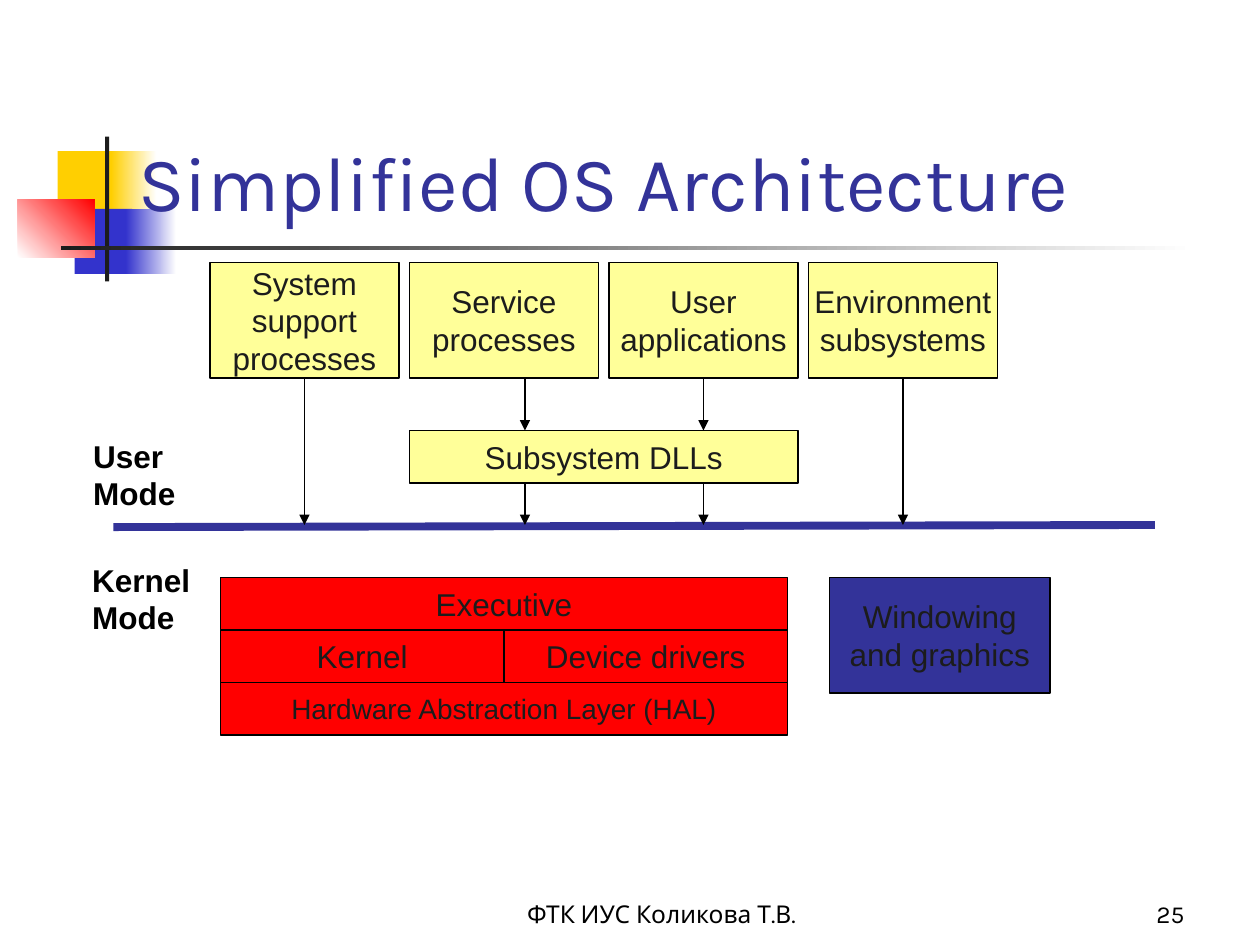
import pptx
import pptx.util
import pptx.dml.color
import pptx.enum.shapes
import pptx.enum.text
import pptx.oxml.ns
import lxml.etree

RGBColor = pptx.dml.color.RGBColor
Align = pptx.enum.text.PP_ALIGN
Anchor = pptx.enum.text.MSO_ANCHOR

WHITE = RGBColor(0xFF, 0xFF, 0xFF)
BLACK = RGBColor(0x00, 0x00, 0x00)
CHARCOAL = RGBColor(0x1C, 0x1C, 0x1C)
GOLD = RGBColor(0xFF, 0xCF, 0x01)
BLUE = RGBColor(0x33, 0x33, 0xCC)
RED = RGBColor(0xFF, 0x00, 0x00)
INDIGO = RGBColor(0x33, 0x33, 0x99)
PALE_YELLOW = RGBColor(0xFF, 0xFF, 0x99)

COLUMNS, ROWS = 120, 90
CELL = pptx.util.Inches(10) // COLUMNS


def cells(*counts):
    return [round(count * CELL) for count in counts]


def add_rectangle(slide, left, top, width, height):
    rectangle = slide.shapes.add_shape(
        pptx.enum.shapes.MSO_SHAPE.RECTANGLE, *cells(left, top, width, height))
    rectangle.shadow.inherit = False
    return rectangle


def write(frame, text, size, font_name, color, align, anchor, wrap, bold=False):
    frame.word_wrap = wrap
    frame.vertical_anchor = anchor
    frame.text = text
    for paragraph in frame.paragraphs:
        paragraph.alignment = align
        paragraph.font.size = pptx.util.Pt(size)
        paragraph.font.name = font_name
        paragraph.font.bold = bold
        paragraph.font.color.rgb = color


def add_label(slide, box, text, size, font_name, color,
              align=Align.LEFT, anchor=Anchor.TOP, wrap=True, bold=False):
    label = slide.shapes.add_textbox(*cells(*box))
    write(label.text_frame, text, size, font_name, color, align, anchor, wrap, bold)


def add_component(slide, box, text, fill, size=18):
    component = add_rectangle(slide, *box)
    component.fill.solid()
    component.fill.fore_color.rgb = fill
    component.line.color.rgb = BLACK
    component.line.width = pptx.util.Pt(0.75)
    write(component.text_frame, text, size, "Arial", CHARCOAL,
          Align.CENTER, Anchor.MIDDLE, False)
    return component


def add_line(slide, start, end, color, width):
    line = slide.shapes.add_connector(
        pptx.enum.shapes.MSO_CONNECTOR.STRAIGHT, *cells(*start, *end))
    line.line.color.rgb = color
    line.line.width = pptx.util.Pt(width)
    lxml.etree.SubElement(line._element.spPr, pptx.oxml.ns.qn("a:effectLst"))
    return line


def add_arrow(slide, column, top, bottom, source=None):
    arrow = add_line(slide, (column, top), (column, bottom), BLACK, 0.75)
    outline = arrow.line._get_or_add_ln()
    lxml.etree.SubElement(outline, pptx.oxml.ns.qn("a:tailEnd"), type="triangle")
    if source is not None:
        arrow.begin_connect(source, 2)


def draw_ornament(slide, left, top):
    parts = [
        (3.8, 1.4, 5.8, 6.2, GOLD, None, 0),
        (8.9, 1.4, 4.3, 6.2, GOLD, WHITE, 0),
        (5.4, 6.9, 5.5, 6.2, BLUE, None, 0),
        (10.3, 6.9, 4.8, 6.2, BLUE, WHITE, 0),
        (0, 6, 7.3, 5.5, WHITE, RED, 45),
        (8.3, 0, 0.4, 13.8, CHARCOAL, None, 0),
        (4.1, 10.4, 108, 0.4, CHARCOAL, WHITE, 0),
    ]
    for x, y, width, height, color, fade, angle in parts:
        part = add_rectangle(slide, left + x, top + y, width, height)
        part.line.fill.background()
        if fade is None:
            part.fill.solid()
            part.fill.fore_color.rgb = color
        else:
            part.fill.gradient()
            part.fill.gradient_angle = angle
            for stop, stop_color in zip(part.fill.gradient_stops, (color, fade)):
                stop.color.rgb = stop_color


def draw_heading(slide, left, top, width, height):
    add_label(slide, (left, top, width, height), "Simplified OS Architecture",
              44, "Karla", INDIGO, anchor=Anchor.BOTTOM)


def draw_footer(slide, left, top, width, height):
    add_label(slide, (left, top, 38, height), "ФТК ИУС Коликова Т.В.",
              14, "Karla", BLACK, Align.CENTER, Anchor.BOTTOM)
    add_label(slide, (left + width - 25, top, 25, height), "25",
              14, "Karla", BLACK, Align.RIGHT, Anchor.BOTTOM)


def draw_user_mode(slide, left, top, width, height):
    gap, process_height, dll_height = 1, 11, 5
    process_width = (width - 3 * gap) / 4
    pitch = process_width + gap
    names = ["System\vsupport\vprocesses", "Service\vprocesses",
             "User\vapplications", "Environment\vsubsystems"]
    system, service, applications, environment = [
        add_component(slide, (left + index * pitch, top, process_width, process_height),
                      name, PALE_YELLOW)
        for index, name in enumerate(names)]
    dll_top = top + 16
    add_component(slide, (left + pitch, dll_top, pitch + process_width, dll_height),
                  "Subsystem DLLs", PALE_YELLOW)

    process_bottom, bottom = top + process_height, top + height
    middle = left + process_width / 2
    add_arrow(slide, middle, process_bottom, bottom, system)
    add_arrow(slide, middle + 3 * pitch, process_bottom, bottom, environment)
    for column, source in ((left + 30, None), (middle + 2 * pitch, applications)):
        add_arrow(slide, column, process_bottom, dll_top, source)
        add_arrow(slide, column, dll_top + dll_height, bottom)


def draw_kernel_mode(slide, left, top, width, height):
    layer = height / 3
    stack_width, graphics_width = 54, 21
    half = stack_width / 2
    layers = [
        (0, 0, stack_width, "Executive", 18),
        (0, 1, half, "Kernel", 18),
        (half, 1, half, "Device drivers", 18),
        (0, 2, stack_width, "Hardware Abstraction Layer (HAL)", 16),
    ]
    for x, row, layer_width, name, size in layers:
        add_component(slide, (left + x, top + row * layer, layer_width, layer),
                      name, RED, size)
    add_component(slide, (left + width - graphics_width, top, graphics_width, 11),
                  "Windowing\vand graphics", INDIGO)


def draw_mode_boundary(slide, left, top, width, height):
    add_line(slide, (left + 3.2, top + 9.2), (left + width, top + 9), INDIGO, 4.5)
    for text, x, y, label_width in (("User\nMode", 0.1, 0, 10.3),
                                    ("Kernel\nMode", 0, height - 8.4, 11.8)):
        add_label(slide, (left + x, top + y, label_width, 8.4), text, 18, "Arial",
                  BLACK, wrap=False, bold=True)


def main():
    presentation = pptx.Presentation()
    presentation.slide_width, presentation.slide_height = cells(COLUMNS, ROWS)
    slide = presentation.slides.add_slide(presentation.slide_layouts[6])
    draw_ornament(slide, 1.7, 13)
    draw_footer(slide, 44, 83, 70, 6)
    draw_heading(slide, 12, 7.2, 108, 15)
    draw_mode_boundary(slide, 7.6, 41, 102.4, 20.2)
    draw_user_mode(slide, 20, 25, 75, 25)
    draw_kernel_mode(slide, 21, 55, 79, 15)
    presentation.save("out.pptx")


if __name__ == "__main__":
    main()
